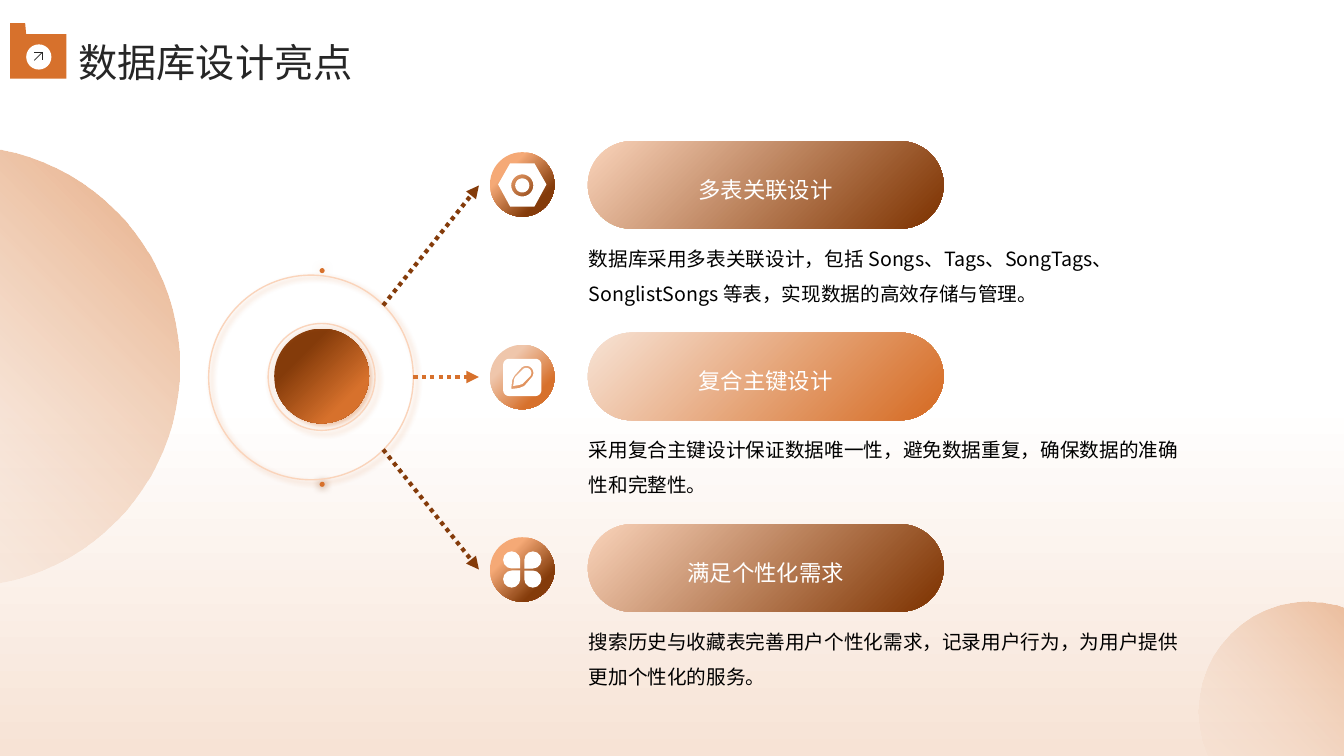
import math

import pptx
import pptx.dml.color
import pptx.enum.dml
import pptx.enum.shapes
import pptx.enum.text
import pptx.oxml
import pptx.oxml.ns
import pptx.util

Inches, Pt = pptx.util.Inches, pptx.util.Pt
RGB = pptx.dml.color.RGBColor.from_string
MSO = pptx.enum.shapes.MSO_SHAPE
ALIGN = pptx.enum.text.PP_ALIGN
ANCHOR = pptx.enum.text.MSO_ANCHOR
qn = pptx.oxml.ns.qn
FONT = "Noto Sans CJK SC"
C = {"white": "FFFFFF", "black": "000000", "ink": "262626", "orange": "D7712C",
     "brown": "843B0A", "peach": "FAD4BB", "cream": "F7E3D5", "tan": "E7AA80",
     "apricot": "F5A976", "sand": "EFC6AB"}

prs = pptx.Presentation()
prs.slide_width, prs.slide_height = Inches(13.33), Inches(7.5)
shapes = prs.slides.add_slide(prs.slide_layouts[6]).shapes


def shape(kind, box, fill=None, angle=0, line=None, shadow=None, fade=False):
    """fill: colour name, or two (position, name) stops; shadow: (name, opacity, blur, distance)."""
    s = shapes.add_shape(kind, *map(Inches, box))
    s.shadow.inherit = False
    if fill is None:
        s.fill.background()
    elif isinstance(fill, str):
        s.fill.solid()
        s.fill.fore_color.rgb = RGB(C[fill])
    else:
        s.fill.gradient()
        s.fill.gradient_angle = 360 - angle
        for stop, (position, name) in zip(s.fill.gradient_stops, fill):
            stop.position, stop.color.rgb = position / 100, RGB(C[name])
        if fade:
            last = list(s._element.spPr.iter(qn("a:srgbClr")))[-1]
            last.append(pptx.oxml.parse_xml(f'<a:alpha {pptx.oxml.ns.nsdecls("a")} val="0"/>'))
    if line:
        s.line.color.rgb, s.line.width = RGB(C[line]), Pt(1)
    else:
        s.line.fill.background()
    if shadow:
        name, opacity, blur, distance = shadow
        s._element.spPr.find(qn("a:effectLst")).append(pptx.oxml.parse_xml(
            f'<a:outerShdw {pptx.oxml.ns.nsdecls("a")} blurRad="{Pt(blur)}" dist="{Pt(distance)}" '
            f'dir="2700000" rotWithShape="0"><a:srgbClr val="{C[name]}">'
            f'<a:alpha val="{opacity * 1000}"/></a:srgbClr></a:outerShdw>'))
    return s


def arc(cx, cy, r, start, end, steps=24):
    angles = [math.radians(start + (end - start) * i / steps) for i in range(steps + 1)]
    return [(cx + r * math.cos(a), cy + r * math.sin(a)) for a in angles]


# Background and large corner circles
shape(MSO.RECTANGLE, (0, 0, 13.33, 7.5), [(53, "white"), (100, "cream")], 90)
for box in [(-2.6, 1.44, 4.38, 4.38), (11.89, 5.97, 2.18, 2.18)]:
    shape(MSO.OVAL, box, [(0, "tan"), (100, "cream")], 135, fade=True)

# Hub with its rings and dots
glow = ("orange", 40, 4, 3)
shape(MSO.OVAL, (2.72, 3.26, 0.94, 0.94), [(28, "brown"), (76, "orange")], 45, shadow=glow)
shape(MSO.OVAL, (2.66, 3.21, 1.06, 1.06), line="peach", shadow=glow)
for top, name in [(2.66, "cream"), (4.78, "brown")]:
    shape(MSO.OVAL, (3.17, top, 0.05, 0.05), "orange", shadow=(name, 100, 6, 0))
shape(MSO.OVAL, (2.07, 2.73, 2.03, 2.03), line="peach", shadow=glow)

# Dotted arrows, and the small arrow of the title badge
strokes = [((4.1, 3.74), (4.75, 3.74), "orange"),
           ((3.8, 3.03), (4.75, 1.84), "brown"),
           ((3.8, 4.46), (4.75, 5.65), "brown")]
badge_strokes = [((0.34, 0.6), (0.42, 0.52), "ink"),
                 ((0.34, 0.52), (0.42, 0.52), "ink"),
                 ((0.42, 0.52), (0.42, 0.6), "ink")]

# Rows: round icon base, pill heading, description
rows = [
    ("多表关联设计", "数据库采用多表关联设计，包括 Songs、Tags、SongTags、SonglistSongs 等表，实现数据的高效存储与管理。",
     "apricot", "peach", "brown"),
    ("复合主键设计", "采用复合主键设计保证数据唯一性，避免数据重复，确保数据的准确性和完整性。",
     "sand", "cream", "orange"),
    ("满足个性化需求", "搜索历史与收藏表完善用户个性化需求，记录用户行为，为用户提供更加个性化的服务。",
     "apricot", "peach", "brown"),
]
texts = [((0.68, 0.26, 11.88, 0.56), "数据库设计亮点", 28, "ink", 1.3, ALIGN.LEFT, ANCHOR.MIDDLE, None)]
for i, (heading, body, icon_light, pill_light, dark) in enumerate(rows):
    y = 1.9 * i
    shape(MSO.OVAL, (4.86, 1.51 + 1.91 * i, 0.64, 0.64), [(28, icon_light), (76, dark)], 45)
    pill = shape(MSO.ROUNDED_RECTANGLE, (5.83, 1.4 + y, 3.53, 0.87), [(0, pill_light), (94, dark)], 45)
    pill.adjustments[0] = 0.5
    texts += [
        ((6.08, 1.5 + y, 3.03, 0.68), heading, 16, "white", 1.3, ALIGN.CENTER, ANCHOR.MIDDLE, 0),
        ((5.84, 2.33 + y, 5.97, 0.9), body, 14, "black", 1.5, ALIGN.LEFT, ANCHOR.TOP, 0),
    ]

# Outlined icons: nut, pen in a rounded square, title badge
nut = [[(5.06, 1.62), (5.3, 1.62), (5.42, 1.83), (5.3, 2.05), (5.06, 2.05), (4.94, 1.83)],
       arc(5.18, 1.84, 0.11, 0, 360), arc(5.18, 1.84, 0.07, 0, 360)]
square = [point for cx, cy, start in [(5.05, 3.62, 180), (5.31, 3.62, 270), (5.31, 3.87, 0), (5.05, 3.87, 90)]
          for point in arc(cx, cy, 0.06, start, start + 90, 6)]
pen = [square,
       arc(5.22, 3.7, 0.07, 225, 405) + [(5.2, 3.83), (5.15, 3.85), (5.07, 3.86), (5.08, 3.77), (5.1, 3.73)],
       arc(5.22, 3.7, 0.05, 225, 405) + [(5.18, 3.81), (5.15, 3.82), (5.09, 3.83), (5.1, 3.76), (5.11, 3.74)]]
badge = [[(0.1, 0.23), (0.25, 0.23), (0.26, 0.34), (0.66, 0.34), (0.66, 0.78), (0.1, 0.78)]]
for contours, name in [(nut, "white"), (pen, "white"), (badge, "orange")]:
    builder = None
    for contour in contours:
        points = [(Inches(x), Inches(y)) for x, y in contour]
        if builder is None:
            builder = shapes.build_freeform(*points[0])
        else:
            builder.move_to(*points[0])
        builder.add_line_segments(points[1:], close=True)
    s = builder.convert_to_shape()
    s.shadow.inherit = False
    s.fill.solid()
    s.fill.fore_color.rgb = RGB(C[name])
    s.line.fill.background()
shape(MSO.OVAL, (0.26, 0.44, 0.25, 0.25), "white")

# Four-petal icon
for left, top, turn in [(4.99, 5.66, 0), (4.99, 5.47, 90), (5.2, 5.47, 180), (5.2, 5.66, 270)]:
    shape(MSO.TEAR, (left, top, 0.17, 0.17), "white").rotation = turn

# Lines
for start, end, name in strokes + badge_strokes:
    s = shapes.add_connector(pptx.enum.shapes.MSO_CONNECTOR.STRAIGHT, *map(Inches, start + end))
    s.line.color.rgb = RGB(C[name])
    s.line.width = Pt(0.5)
    if name != "ink":
        s.line.width = Pt(3)
        s.line.dash_style = pptx.enum.dml.MSO_LINE.ROUND_DOT
        s.line._get_or_add_ln().append(
            pptx.oxml.parse_xml(f'<a:tailEnd {pptx.oxml.ns.nsdecls("a")} type="triangle"/>'))
    s._element.spPr.append(pptx.oxml.parse_xml(f'<a:effectLst {pptx.oxml.ns.nsdecls("a")}/>'))

# Texts
for box, text, size, name, spacing, align, anchor, inset in texts:
    tf = shapes.add_textbox(*map(Inches, box)).text_frame
    frame = {"word_wrap": True, "vertical_anchor": anchor}
    if inset is not None:
        frame.update({f"margin_{side}": inset for side in ("left", "top", "right", "bottom")})
    p = tf.paragraphs[0]
    r = p.add_run()
    r.text = text
    r.font.color.rgb = RGB(C[name])
    for target, values in [(tf, frame), (p, {"alignment": align, "line_spacing": spacing}),
                           (r.font, {"size": Pt(size), "name": FONT})]:
        for key, value in values.items():
            setattr(target, key, value)
    r._r.get_or_add_rPr().append(
        pptx.oxml.parse_xml(f'<a:ea {pptx.oxml.ns.nsdecls("a")} typeface="{FONT}"/>'))

prs.save("out.pptx")
